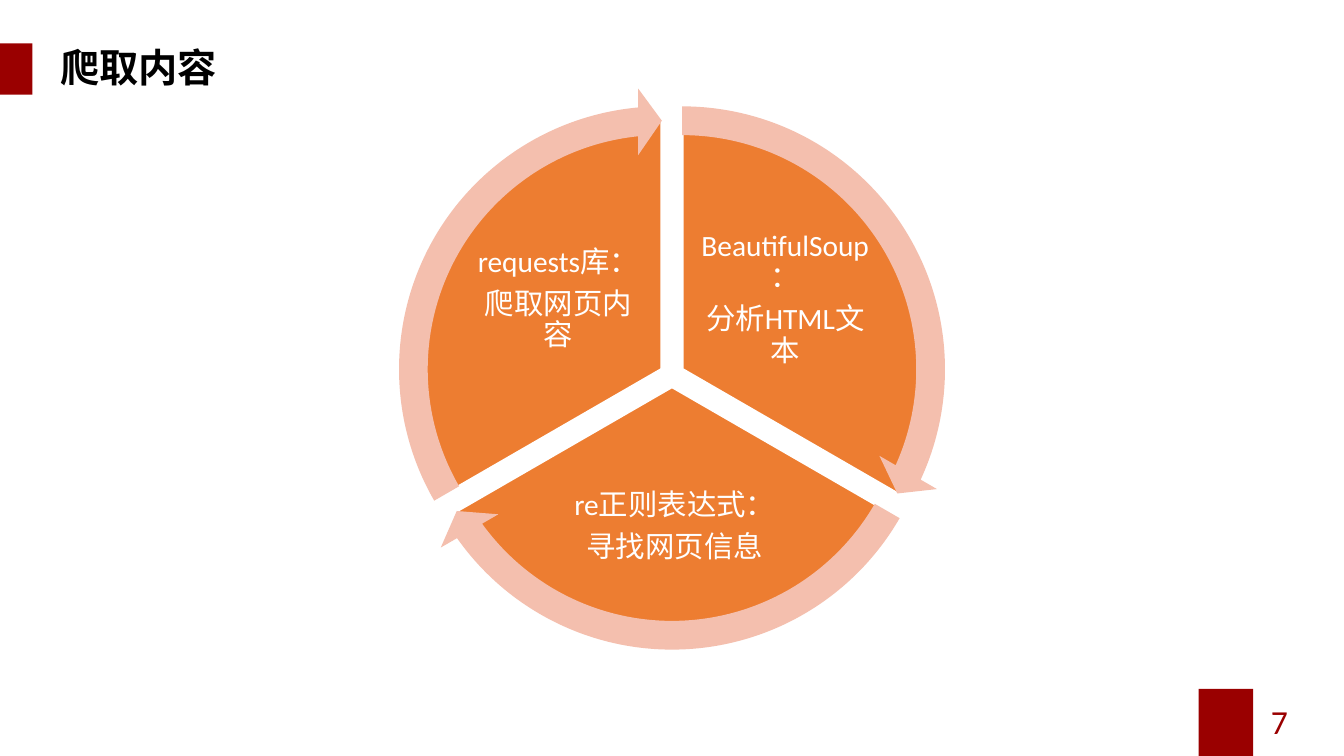
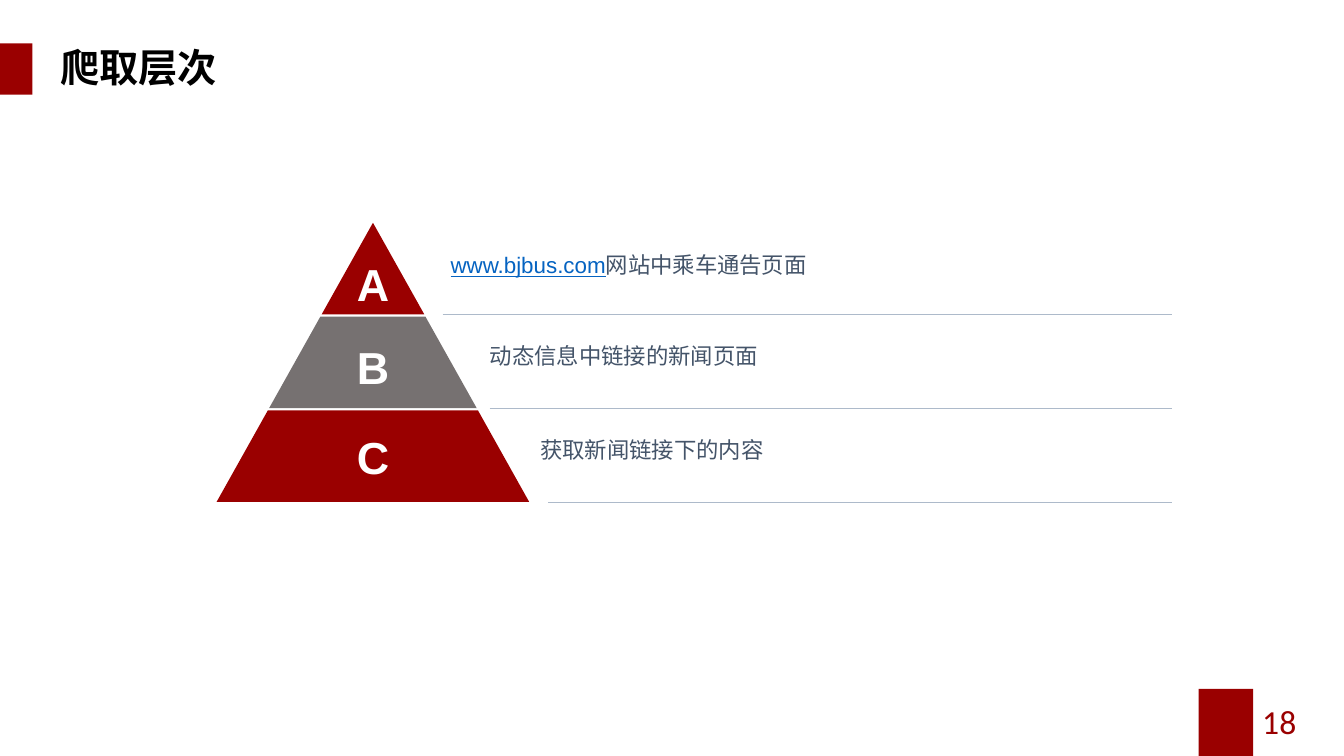
from dataclasses import dataclass
from math import cos, radians, sin

from lxml.etree import SubElement
from pptx import Presentation
from pptx.dml.color import RGBColor
from pptx.enum.shapes import MSO_CONNECTOR as Connector, MSO_SHAPE as Shape
from pptx.enum.text import MSO_ANCHOR as Anchor, PP_ALIGN as Align
from pptx.oxml.ns import qn
from pptx.util import Inches, Pt

# The slide is a grid of 160 columns by 90 rows; all lengths are in cells.
COLUMNS, ROWS = 160, 90
CELL = Inches(7.5) / ROWS

RED = RGBColor(0x9A, 0x00, 0x00)
GRAY = RGBColor(0x76, 0x71, 0x71)
ORANGE = RGBColor(0xED, 0x7D, 0x31)
PEACH = RGBColor(0xF4, 0xBF, 0xAE)
WHITE = RGBColor(0xFF, 0xFF, 0xFF)
BLACK = RGBColor(0x00, 0x00, 0x00)
SLATE = RGBColor(0x44, 0x54, 0x69)
LINK_BLUE = RGBColor(0x05, 0x63, 0xC1)
RULE_BLUE = RGBColor(0xAD, 0xBA, 0xCA)

HAN_FONT = "Noto Sans CJK SC"


@dataclass(frozen=True)
class Area:
    left: float
    top: float
    width: float
    height: float

    def emu(self) -> list[int]:
        return [cells(n) for n in (self.left, self.top, self.width, self.height)]


@dataclass(frozen=True)
class Style:
    size: float
    color: RGBColor
    font: str = "Arial"
    bold: bool = False
    underline: bool = False


@dataclass(frozen=True)
class Span:
    text: str
    style: Style


@dataclass(frozen=True)
class Layout:
    align: Align = Align.LEFT
    anchor: Anchor = Anchor.TOP
    inset: tuple[float, float] = (1.2, 0.6)
    line_spacing: float = 1.0
    space_after: float = 0


@dataclass(frozen=True)
class Sector:
    middle: float  # degrees, clockwise from the right
    area: Area
    lines: tuple[str, ...]


@dataclass(frozen=True)
class Tier:
    letter: str
    letter_top: float
    color: RGBColor
    rule_left: float
    note_left: float
    note_top: float
    note: tuple[Span, ...]


TITLE = Style(28, BLACK, HAN_FONT, bold=True)
NUMBER = Style(24, RED, "Calibri")
SECTOR = Style(21, WHITE, "Calibri")
LETTER = Style(32, WHITE, bold=True)
NOTE = Style(16, SLATE)
LINK = Style(16, LINK_BLUE, underline=True)

PLAIN = Layout()
NUMBER_LAYOUT = Layout(Align.CENTER, Anchor.MIDDLE)
SECTOR_LAYOUT = Layout(Align.CENTER, Anchor.MIDDLE, (0.36, 0.36), 0.9, 7.35)
LETTER_LAYOUT = Layout(Align.CENTER)
NOTE_LAYOUT = Layout(inset=(0, 0), line_spacing=1.2)

CYCLE_CENTER = (80, 44.65)
SECTOR_OFFSET = 1.39
PIE_SIZE, ARROW_SIZE = 59.76, 67.08
HALF_SWEEP = 60
HEAD_ANGLE = 5.46
SECTORS = (
    Sector(-30, Area(82.8, 26.76, 21.36, 17.76), ("BeautifulSoup：", "分析HTML文本")),
    Sector(90, Area(64.32, 54.96, 32.04, 15.6), ("re正则表达式：", "寻找网页信息")),
    Sector(210, Area(55.8, 26.76, 21.36, 17.76), ("requests库：", "爬取网页内容")),
)

APEX_X, APEX_Y = 44.4, 26.52
TIER_HEIGHT, TIER_GAP = 10.92, 0.24
HALF_WIDTH_PER_ROW = 0.56
RULE_RIGHT = 139.56
TIERS = (
    Tier("A", 30, RED, 52.7, 53.64, 29.28,
         (Span("www.bjbus.com", LINK), Span("网站中乘车通告页面", NOTE))),
    Tier("B", 39.84, GRAY, 58.3, 58.32, 40.08,
         (Span("动态信息中链接的新闻页面", NOTE),)),
    Tier("C", 50.52, RED, 65.3, 64.32, 51.24,
         (Span("获取新闻链接下的内容", NOTE),)),
)


def cells(count: float) -> int:
    return round(count * CELL)


def add_text(page, area: Area, lines, layout: Layout = PLAIN) -> None:
    """Add a text box; each line is a sequence of spans."""
    frame = page.shapes.add_textbox(*area.emu()).text_frame
    frame.word_wrap = True
    frame.vertical_anchor = layout.anchor
    side, edge = (cells(n) for n in layout.inset)
    frame.margin_left = frame.margin_right = side
    frame.margin_top = frame.margin_bottom = edge
    for index, spans in enumerate(lines):
        para = frame.add_paragraph() if index else frame.paragraphs[0]
        para.alignment = layout.align
        para.line_spacing = layout.line_spacing
        para.space_after = Pt(layout.space_after)
        for span in spans:
            add_run(para, span)


def add_run(para, span: Span) -> None:
    run = para.add_run()
    run.text = span.text
    font, style = run.font, span.style
    font.size, font.name = Pt(style.size), style.font
    font.bold, font.underline = style.bold, style.underline
    font.color.rgb = style.color
    SubElement(run._r.get_or_add_rPr(), qn("a:ea"), typeface=HAN_FONT)


def paint(shape, fill: RGBColor, outline: RGBColor | None = None) -> None:
    shape.shadow.inherit = False
    shape.fill.solid()
    shape.fill.fore_color.rgb = fill
    if outline is None:
        shape.line.fill.background()
    else:
        shape.line.color.rgb = outline
        shape.line.width = Pt(2)


def add_shape(page, kind: Shape, area: Area, fill: RGBColor,
              outline: RGBColor | None = None, adjustments=()) -> None:
    shape = page.shapes.add_shape(kind, *area.emu())
    paint(shape, fill, outline)
    for index, value in enumerate(adjustments):
        shape.adjustments[index] = value


def add_rule(page, left: float, right: float, y: float) -> None:
    rule = page.shapes.add_connector(
        Connector.STRAIGHT, cells(left), cells(y), cells(right), cells(y))
    rule.line.color.rgb = RULE_BLUE
    rule.line.width = Pt(0.5)
    SubElement(rule._element.spPr, qn("a:effectLst"))


def add_page(deck, title: str, number: int):
    page = deck.slides.add_slide(deck.slide_layouts[6])
    add_shape(page, Shape.RECTANGLE, Area(142.7, 82, 6.5, 8), RED)
    add_shape(page, Shape.RECTANGLE, Area(0, 5.15, 3.85, 6.12), RED)
    add_text(page, Area(6, 4.6, 61.4, 6.8), [[Span(title, TITLE)]])
    add_text(page, Area(147.5, 83.4, 9.6, 4.8),
             [[Span(str(number), NUMBER)]], NUMBER_LAYOUT)
    return page


def sector_area(sector: Sector, size: float) -> Area:
    """Square of the given size, pushed outwards from the cycle's centre."""
    angle = radians(sector.middle)
    x = CYCLE_CENTER[0] + SECTOR_OFFSET * cos(angle)
    y = CYCLE_CENTER[1] + SECTOR_OFFSET * sin(angle)
    return Area(x - size / 2, y - size / 2, size, size)


def turn(degrees: float) -> float:
    """Angle as a shape adjustment: 60000ths of a degree over 100000."""
    return degrees % 360 * 0.6


def draw_cycle(page) -> None:
    for sector in SECTORS:
        ends = (turn(sector.middle - HALF_SWEEP), turn(sector.middle + HALF_SWEEP))
        add_shape(page, Shape.PIE, sector_area(sector, PIE_SIZE), ORANGE, WHITE, ends)
        add_text(page, sector.area,
                 [[Span(line, SECTOR)] for line in sector.lines], SECTOR_LAYOUT)
    for sector in SECTORS:
        start, end = sector.middle - HALF_SWEEP, sector.middle + HALF_SWEEP
        add_shape(page, Shape.CIRCULAR_ARROW, sector_area(sector, ARROW_SIZE), PEACH,
                  adjustments=(0.051, turn(HEAD_ANGLE), turn(end - HEAD_ANGLE),
                               turn(start), 0.059))


def draw_tier(page, tier: Tier, top: float) -> None:
    bottom = top + TIER_HEIGHT
    upper, lower = ((y - APEX_Y) * HALF_WIDTH_PER_ROW for y in (top, bottom))
    corners = [(cells(x), cells(y)) for x, y in (
        (APEX_X - upper, top), (APEX_X + upper, top),
        (APEX_X + lower, bottom), (APEX_X - lower, bottom))]
    outline = page.shapes.build_freeform(*corners[0])
    outline.add_line_segments(corners[1:], close=True)
    paint(outline.convert_to_shape(), tier.color)
    add_rule(page, tier.rule_left, RULE_RIGHT, bottom)
    add_text(page, Area(APEX_X - 3.65, tier.letter_top, 7.3, 7.7),
             [[Span(tier.letter, LETTER)]], LETTER_LAYOUT)
    add_text(page, Area(tier.note_left, tier.note_top, 75.2, 3.6),
             [tier.note], NOTE_LAYOUT)


def main() -> None:
    deck = Presentation()
    deck.slide_width, deck.slide_height = cells(COLUMNS), cells(ROWS)
    draw_cycle(add_page(deck, "爬取内容", 7))
    levels = add_page(deck, "爬取层次", 18)
    for index, tier in enumerate(TIERS):
        draw_tier(levels, tier, APEX_Y + index * (TIER_HEIGHT + TIER_GAP))
    deck.save("out.pptx")


if __name__ == "__main__":
    main()
